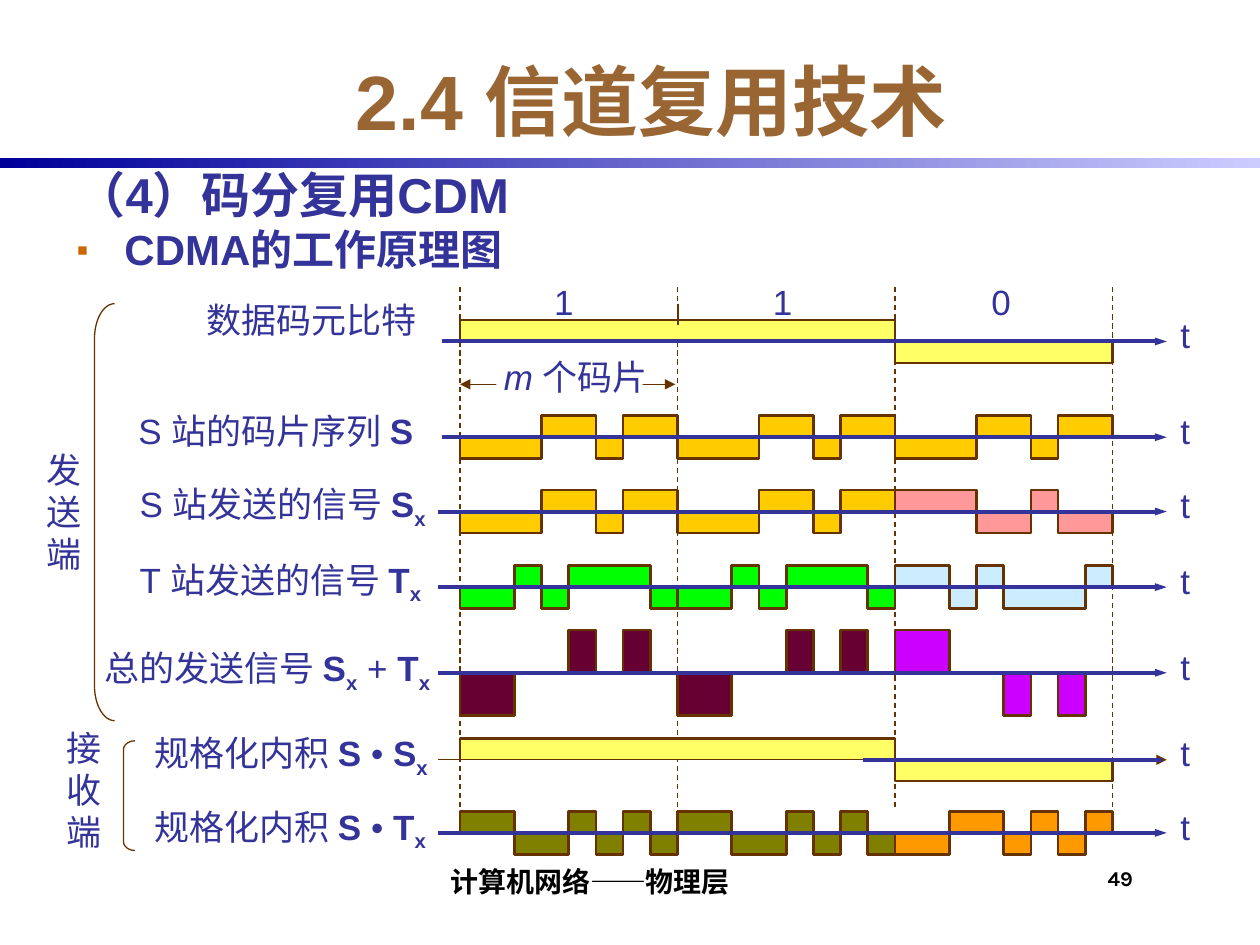
from itertools import groupby

from lxml.etree import SubElement
from pptx import Presentation
from pptx.dml.color import RGBColor
from pptx.enum.dml import MSO_LINE
from pptx.enum.shapes import MSO_CONNECTOR, MSO_SHAPE
from pptx.enum.text import MSO_ANCHOR, MSO_AUTO_SIZE, PP_ALIGN
from pptx.oxml.ns import qn
from pptx.util import Inches, Pt

NAVY = RGBColor(0x33, 0x33, 0x99)
DEEP_BLUE = RGBColor(0x00, 0x00, 0x99)
PALE_BLUE = RGBColor(0xCC, 0xCC, 0xFF)
BROWN = RGBColor(0x66, 0x33, 0x00)
TITLE_BROWN = RGBColor(0x99, 0x66, 0x33)
WHITE = RGBColor(0xFF, 0xFF, 0xFF)
BLACK = RGBColor(0x00, 0x00, 0x00)
YELLOW = RGBColor(0xFF, 0xFF, 0x66)
GOLD = RGBColor(0xFF, 0xCC, 0x00)
PINK = RGBColor(0xFF, 0x99, 0x99)
GREEN = RGBColor(0x00, 0xFF, 0x00)
SKY = RGBColor(0xCC, 0xEC, 0xFF)
MAROON = RGBColor(0x66, 0x00, 0x33)
VIOLET = RGBColor(0xCC, 0x00, 0xFF)
OLIVE = RGBColor(0x80, 0x80, 0x00)
ORANGE = RGBColor(0xFF, 0x99, 0x00)

WAVE_LEFT, WAVE_RIGHT, LEVEL_HEIGHT = 3.65, 8.83, 0.17
BIT_WIDTH = (WAVE_RIGHT - WAVE_LEFT) / 3
AXIS_END = 9.26
BITS = [1, 1, -1]
S_CHIPS = [-1, -1, -1, 1, 1, -1, 1, 1]
T_CHIPS = [-1, -1, 1, -1, 1, 1, 1, -1]
SUM_CHIPS = [s + t for s, t in zip(S_CHIPS, T_CHIPS)]
PRODUCT_CHIPS = [s * t for s, t in zip(S_CHIPS, T_CHIPS)]

PLAIN, BOLD, SUB, ITALIC = "plain", "bold", "sub", "italic"


def format_run(run, size, color, style=PLAIN, font="Arial"):
    """Apply size, colour and one of the text styles to a run."""
    run.font.name, run.font.size, run.font.color.rgb = font, Pt(size), color
    run.font.bold = style in (BOLD, SUB)
    run.font.italic = style == ITALIC
    if style == SUB:
        run.font._element.set("baseline", "-25000")


def add_label(slide, left, top, width, height, *lines, spacing=None):
    """Add a diagram label whose lines are lists of (text, style) parts."""
    label = slide.shapes.add_textbox(Inches(left), Inches(top), Inches(width), Inches(height))
    frame = label.text_frame
    frame.word_wrap = False
    frame.auto_size = MSO_AUTO_SIZE.SHAPE_TO_FIT_TEXT
    for index, parts in enumerate(lines):
        paragraph = frame.paragraphs[0] if index == 0 else frame.add_paragraph()
        paragraph.line_spacing = spacing
        for text, style in parts:
            run = paragraph.add_run()
            run.text = text
            format_run(run, 20, NAVY, style)


def add_line(slide, start, end, color=BROWN, width=0.75, dash=None, head=False, tail=False):
    """Add a straight line with optional dash and arrowheads."""
    line = slide.shapes.add_connector(MSO_CONNECTOR.STRAIGHT, *map(Inches, start + end))
    line.line.color.rgb, line.line.width = color, Pt(width)
    if dash:
        line.line.dash_style = dash
    for tag, wanted in (("a:headEnd", head), ("a:tailEnd", tail)):
        if wanted:
            arrow = SubElement(line.line._get_or_add_ln(), qn(tag), type="triangle")
            arrow.set("w", "sm" if width > 1 else "med")
    SubElement(line._element.spPr, qn("a:effectLst"))


def add_wave(slide, left, axis, levels, step, color):
    """Draw a stepped signal around its axis from a list of levels."""
    points = [(left, axis)]
    x = left
    for level, group in groupby(levels):
        y = axis - level * LEVEL_HEIGHT
        points.append((x, y))
        x += len(list(group)) * step
        points.append((x, y))
    points.append((x, axis))
    corners = [(Inches(px), Inches(py)) for px, py in points]
    builder = slide.shapes.build_freeform(*corners[0])
    builder.add_line_segments(corners[1:], close=False)
    wave = builder.convert_to_shape()
    wave.shadow.inherit = False
    wave.fill.solid()
    wave.fill.fore_color.rgb = color
    wave.line.color.rgb, wave.line.width = BROWN, Pt(1.5)


def add_chip_row(slide, axis, chips, signs, colors):
    """Draw one chip sequence per bit, inverted where the sign is negative."""
    for index, (sign, color) in enumerate(zip(signs, colors)):
        levels = [sign * chip for chip in chips]
        add_wave(slide, WAVE_LEFT + index * BIT_WIDTH, axis, levels, BIT_WIDTH / 8, color)


def add_time_axis(slide, axis, left=3.48, color=NAVY, width=2.25):
    """Draw a time arrow with its t label."""
    add_line(slide, (left, axis), (AXIS_END, axis), color, width, tail=True)
    add_label(slide, 9.27, axis - 0.27, 0.27, 0.44, [("t", PLAIN)])


def add_bracket(slide, left, top, width, height, curve):
    """Draw a left bracket that groups rows."""
    bracket = slide.shapes.add_shape(
        MSO_SHAPE.LEFT_BRACKET, Inches(left), Inches(top), Inches(width), Inches(height))
    bracket.adjustments[0] = curve / width
    bracket.shadow.inherit = False
    bracket.fill.background()
    bracket.line.color.rgb, bracket.line.width = BROWN, Pt(0.75)


def add_bar(slide, left, top, width, height):
    """Add a rectangle without outline or shadow."""
    bar = slide.shapes.add_shape(
        MSO_SHAPE.RECTANGLE, Inches(left), Inches(top), Inches(width), Inches(height))
    bar.shadow.inherit = False
    bar.line.fill.background()
    return bar


def add_footer(slide, left, top, width, height, text, size, margins, align, anchor):
    """Add a bold black line of footer text."""
    footer = slide.shapes.add_textbox(Inches(left), Inches(top), Inches(width), Inches(height))
    frame = footer.text_frame
    frame.word_wrap, frame.vertical_anchor = True, anchor
    frame.margin_left, frame.margin_top, frame.margin_right, frame.margin_bottom = map(Inches, margins)
    frame.text = text
    frame.paragraphs[0].alignment = align
    format_run(frame.paragraphs[0].runs[0], size, BLACK, BOLD, "Karla")


def add_headings(slide):
    """Fill the title and write the two headings below the rule."""
    rule = add_bar(slide, 0, 1.25, 10, 0.08)
    rule.fill.gradient()
    rule.fill.gradient_angle = 0
    for stop, color in zip(rule.fill.gradient_stops, (DEEP_BLUE, PALE_BLUE)):
        stop.color.rgb = color
    title = slide.shapes.title
    title.left, title.top, title.width, title.height = map(Inches, (0.92, 0.33, 8.5, 0.92))
    title.text_frame.text = "2.4 信道复用技术"
    title.text_frame.vertical_anchor = MSO_ANCHOR.MIDDLE
    title.text_frame.paragraphs[0].alignment = PP_ALIGN.CENTER
    format_run(title.text_frame.paragraphs[0].runs[0], 44, TITLE_BROWN, BOLD)

    headings = slide.shapes.add_textbox(Inches(0.51), Inches(1.31), Inches(8.5), Inches(1))
    frame = headings.text_frame
    frame.word_wrap = True
    frame.text = "（4）码分复用CDM\nCDMA的工作原理图"
    for paragraph, size in zip(frame.paragraphs, (28, 24)):
        paragraph.line_spacing = 0.9
        properties = paragraph._p.get_or_add_pPr()
        properties.set("marL", str(Inches(0.38)))
        properties.set("indent", str(-Inches(0.38)))
        format_run(paragraph.runs[0], size, NAVY, BOLD)
    paragraph.space_before = Pt(3)
    bullet_color = SubElement(properties, qn("a:buClr"))
    SubElement(bullet_color, qn("a:srgbClr"), val="CC6600")
    SubElement(properties, qn("a:buSzPct"), val="80000")
    SubElement(properties, qn("a:buFont"), typeface="Arial")
    SubElement(properties, qn("a:buChar"), char="▪")


def add_signals(slide):
    """Draw the bit borders, the seven signals and their time axes."""
    add_line(slide, (3.65, 3.05), (5.36, 3.05), head=True, tail=True)
    for index in range(4):
        x = WAVE_LEFT + index * BIT_WIDTH
        add_line(slide, (x, 2.28), (x, 6.43), dash=MSO_LINE.DASH)
    for axis in (2.71, 6.03):
        add_wave(slide, WAVE_LEFT, axis, BITS, BIT_WIDTH, YELLOW)
    add_line(slide, (5.38, 2.41), (5.38, 2.58))
    add_chip_row(slide, 3.47, S_CHIPS, [1, 1, 1], [GOLD] * 3)
    add_chip_row(slide, 4.06, S_CHIPS, BITS, [GOLD, GOLD, PINK])
    add_chip_row(slide, 4.66, T_CHIPS, BITS, [GREEN, GREEN, SKY])
    add_chip_row(slide, 5.34, SUM_CHIPS, BITS, [MAROON, MAROON, VIOLET])
    add_chip_row(slide, 6.61, PRODUCT_CHIPS, BITS, [OLIVE, OLIVE, ORANGE])
    for axis in (2.71, 3.47):
        add_time_axis(slide, axis, left=3.51)
    for axis in (4.06, 4.66, 5.34, 6.61):
        add_time_axis(slide, axis)
    add_time_axis(slide, 6.03, color=BROWN, width=0.75)
    add_line(slide, (6.85, 6.03), (9.22, 6.03), NAVY, 2.25)


def add_labels(slide):
    """Write the bit values, row names and the names of both ends."""
    for index, bit in enumerate("110"):
        add_label(slide, 4.3 + index * 1.735, 2.18, 0.35, 0.44, [(bit, PLAIN)])
    mask = add_bar(slide, 3.94, 2.88, 1.16, 0.3)
    mask.fill.solid()
    mask.fill.fore_color.rgb = WHITE
    add_label(slide, 3.9, 2.77, 1.43, 0.44, [("m ", ITALIC), ("个码片", PLAIN)])
    add_label(slide, 1.54, 2.32, 1.89, 0.44, [("数据码元比特", PLAIN)])
    add_label(slide, 1, 3.25, 2.55, 0.39, [("S 站的码片序列 ", PLAIN), ("S", BOLD)], spacing=0.85)
    s_x, t_x = [("S", BOLD), ("x", SUB)], [("T", BOLD), ("x", SUB)]
    inner = [("规格化内积 ", PLAIN), ("S ", BOLD), ("• ", PLAIN)]
    for left, top, width, parts in (
        (1.01, 3.78, 2.64, [("S 站发送的信号 ", PLAIN)] + s_x),
        (1.01, 4.38, 2.61, [("T 站发送的信号 ", PLAIN)] + t_x),
        (0.73, 5.08, 2.89, [("总的发送信号 ", PLAIN)] + s_x + [(" + ", PLAIN)] + t_x),
        (1.13, 5.76, 2.47, inner + s_x),
        (1.13, 6.34, 2.46, inner + t_x),
    ):
        add_label(slide, left, top, width, 0.48, parts)
    for left, top, name in ((0.27, 3.51, "发送端"), (0.43, 5.72, "接收端")):
        add_label(slide, left, top, 0.48, 1.1, *([(letter, PLAIN)] for letter in name))
    add_bracket(slide, 0.75, 2.41, 0.16, 3.31, 0.28)
    add_bracket(slide, 0.98, 5.88, 0.09, 0.87, 0.07)


def main():
    """Build the slide and save it."""
    deck = Presentation()
    deck.slide_width, deck.slide_height = Inches(10), Inches(7.5)
    slide = deck.slides.add_slide(deck.slide_layouts[5])
    add_headings(slide)
    add_signals(slide)
    add_labels(slide)
    add_footer(slide, 8.75, 6.83, 0.58, 0.42, "49", 12, (0.04, 0.04, 0, 0), PP_ALIGN.LEFT, MSO_ANCHOR.TOP)
    add_footer(slide, 2.08, 6.75, 5.17, 0.42, "计算机网络——物理层", 16, (0.04, 0, 0, 0.04),
               PP_ALIGN.CENTER, MSO_ANCHOR.BOTTOM)
    deck.save("out.pptx")


if __name__ == "__main__":
    main()
